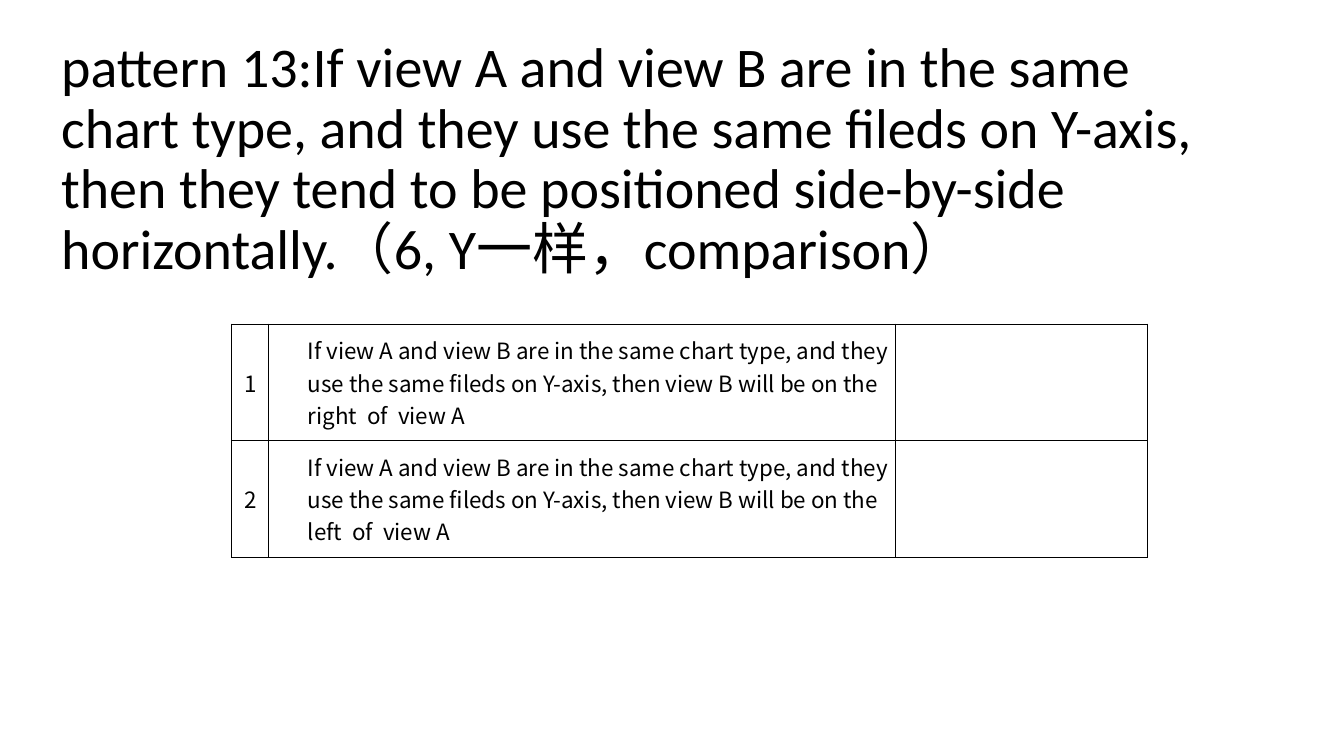
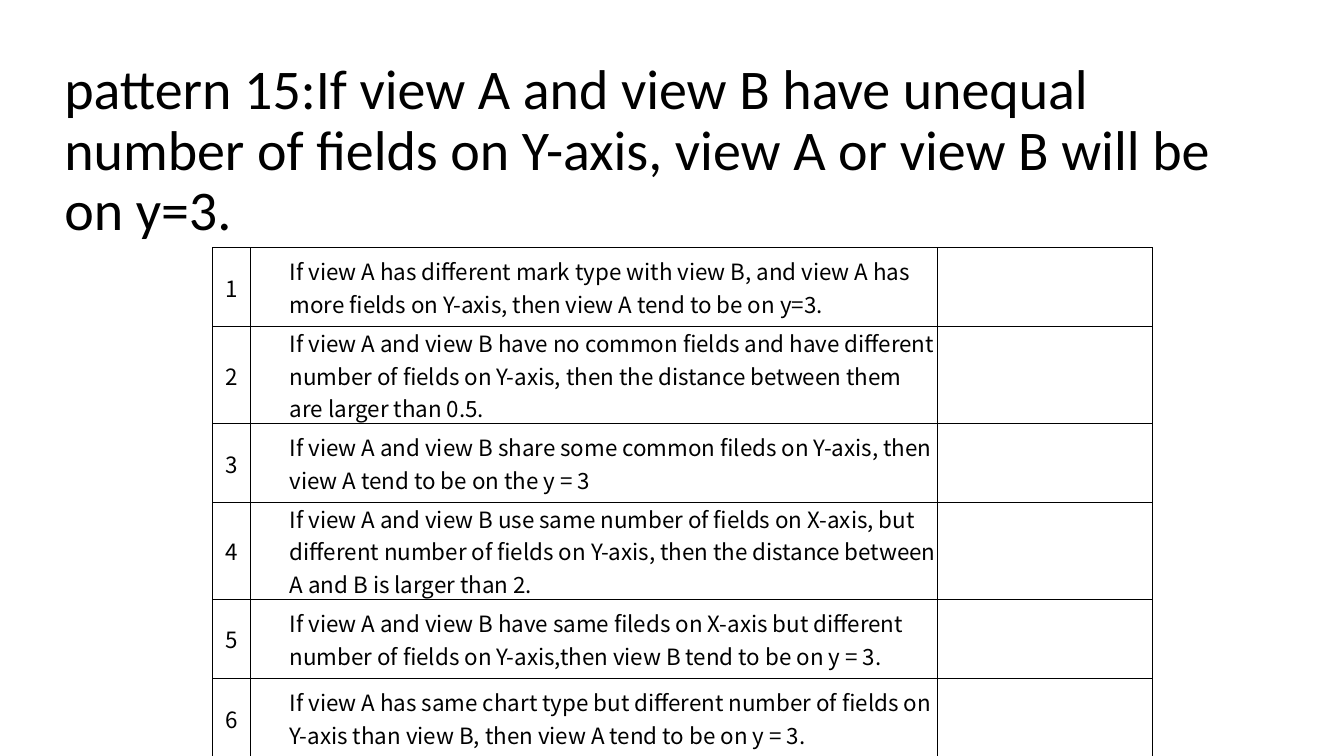
"""Build two slides, each with a pattern title and a table of rules."""
import pptx
import pptx.dml.color
import pptx.enum.text
import pptx.oxml
import pptx.oxml.ns
import pptx.util

Pt = pptx.util.Pt
ANCHOR = pptx.enum.text.MSO_ANCHOR
ALIGN = pptx.enum.text.PP_ALIGN

BLACK = "000000"
TITLE_FONT = {"name": "Calibri", "size": Pt(40), "bold": False}
CELL_FONT = {"name": "Noto Sans CJK SC", "size": Pt(16), "bold": False}
TITLE_FRAME = {
    "word_wrap": True,
    "auto_size": pptx.enum.text.MSO_AUTO_SIZE.NONE,
    "vertical_anchor": ANCHOR.BOTTOM,
}
CELL_FORMAT = {
    "margin_left": 0,
    "margin_right": 0,
    "margin_top": 0,
    "margin_bottom": 0,
    "vertical_anchor": ANCHOR.MIDDLE,
}
TABLE_FLAGS = {"first_row": False, "horz_banding": False}
TITLE_SIZE = (866, 116)
RULE_INDENT = 28
BORDER_WIDTH = 0.75

SLIDES = [
    {
        "title": "pattern 13:If view A and view B are in the same chart type, "
                 "and they use the same fileds on Y-axis, then they tend to be "
                 "positioned side-by-side horizontally.（6, Y一样，comparison）",
        "title_at": (36.5, 88.5),
        "table_at": (165.5, 231.5),
        "columns": (26.5, 448, 179.5),
        "row_height": 83.25,
        "rules": [
            "If view A and view B are in the same chart type, and they use the "
            f"same fileds on Y-axis, then view B will be on the {side}  of  view A"
            for side in ("right", "left")
        ],
    },
    {
        "title": "pattern 15:If view A and view B have unequal number of fields "
                 "on Y-axis, view A or view B will be on y=3.",
        "title_at": (38.75, 61),
        "table_at": (152, 177),
        "columns": (27, 490.5, 153.5),
        "row_height": 56.5,
        "rules": [
            "If view A has different mark type with view B, and view A has more "
            "fields on Y-axis, then view A tend to be on y=3.",
            "If view A and view B have no common fields and have different number "
            "of fields on Y-axis, then the distance between them are larger than 0.5.",
            "If view A and view B share some common fileds on Y-axis, then view A "
            "tend to be on the y = 3",
            "If view A and view B use same number of fields on X-axis, but different "
            "number of fields on Y-axis, then the distance between A and B is larger "
            "than 2.",
            "If view A and view B have same fileds on X-axis but different number "
            "of fields on Y-axis,then view B tend to be on y = 3.",
            "If view A has same chart type but different number of fields on Y-axis "
            "than view B, then view A tend to be on y = 3.",
        ],
    },
]


def color(value):
    """Turn a hex string into a colour."""
    return pptx.dml.color.RGBColor.from_string(value)


def apply(target, values):
    """Set each named attribute on the target."""
    for name, value in values.items():
        setattr(target, name, value)


def write(para, text, font):
    """Add one black formatted run to a paragraph."""
    span = para.add_run()
    span.text = text
    apply(span.font, font)
    span.font.color.rgb = color(BLACK)


def add_title(slide, text, position):
    """Place and fill the title placeholder."""
    box = slide.shapes.title
    lengths = map(Pt, position + TITLE_SIZE)
    apply(box, dict(zip(("left", "top", "width", "height"), lengths)))
    apply(box.text_frame, TITLE_FRAME)
    para = box.text_frame.paragraphs[0]
    apply(para, {"alignment": ALIGN.LEFT, "line_spacing": 0.9})
    write(para, text, TITLE_FONT)


def add_borders(cell):
    """Draw thin black lines on the four sides of a cell."""
    properties = cell._tc.get_or_add_tcPr()
    namespace = pptx.oxml.ns.nsdecls("a")
    for side in "LRTB":
        properties.append(pptx.oxml.parse_xml(
            f'<a:ln{side} {namespace} w="{Pt(BORDER_WIDTH)}"><a:solidFill>'
            f'<a:srgbClr val="{BLACK}"/></a:solidFill></a:ln{side}>'))


def fill_cell(cell, text, alignment, indent=0):
    """Write text in a cell, with a left indent in points."""
    apply(cell, CELL_FORMAT)
    para = cell.text_frame.paragraphs[0]
    para.alignment = alignment
    if indent:
        apply_indent = para._p.get_or_add_pPr().set
        apply_indent("marL", str(Pt(indent)))
        apply_indent("indent", "0")
    write(para, text, CELL_FONT)


def add_rules(slide, content):
    """Add the table of numbered rules with an empty last column."""
    rules, columns = content["rules"], content["columns"]
    left, top = content["table_at"]
    height = content["row_height"]
    frame = slide.shapes.add_table(
        len(rules), len(columns), Pt(left), Pt(top),
        Pt(sum(columns)), Pt(height * len(rules)))
    table = frame.table
    apply(table, TABLE_FLAGS)
    for column, width in zip(table.columns, columns):
        column.width = Pt(width)
    for row in table.rows:
        row.height = Pt(height)
    for cell in table.iter_cells():
        add_borders(cell)
        cell.fill.background()
    for index, rule in enumerate(rules):
        fill_cell(table.cell(index, 0), str(index + 1), ALIGN.CENTER)
        fill_cell(table.cell(index, 1), rule, ALIGN.LEFT, RULE_INDENT)


def add_page(deck, content):
    """Add one slide with its title and rules."""
    slide = deck.slides.add_slide(deck.slide_layouts[0])
    subtitle = slide.placeholders[1].element
    subtitle.getparent().remove(subtitle)
    add_title(slide, content["title"], content["title_at"])
    add_rules(slide, content)


def main():
    """Build and save the deck."""
    deck = pptx.Presentation()
    apply(deck, {"slide_width": Pt(960), "slide_height": Pt(540)})
    for content in SLIDES:
        add_page(deck, content)
    deck.save("out.pptx")


main()
